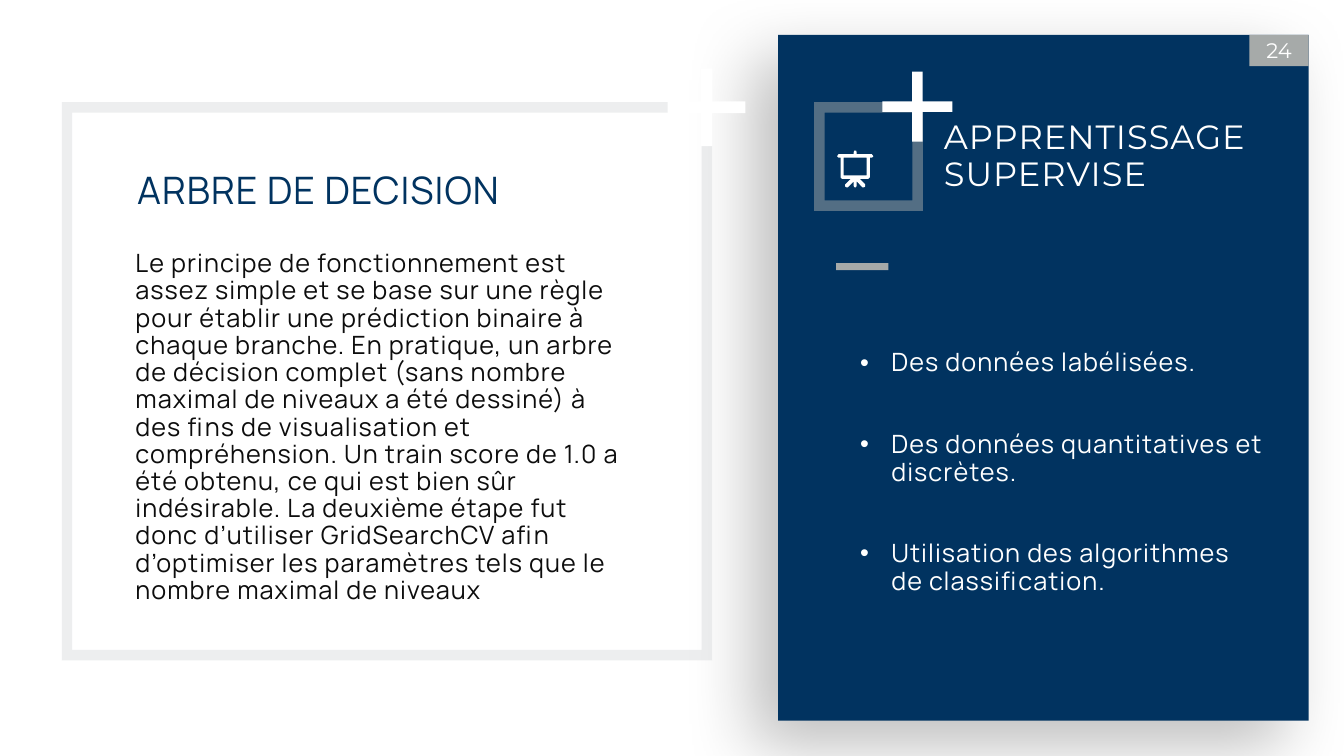
from dataclasses import dataclass

from lxml.etree import SubElement
from pptx import Presentation
from pptx.dml.color import RGBColor
from pptx.enum.shapes import MSO_SHAPE
from pptx.enum.text import MSO_ANCHOR, MSO_AUTO_SIZE, PP_ALIGN
from pptx.oxml.ns import qn
from pptx.util import Inches, Pt


@dataclass(frozen=True)
class Theme:
    navy: str = "013360"
    grey: str = "A6AAA9"
    pale: str = "DCDEE0"
    white: str = "FFFFFF"
    ink: str = "0D0D0D"
    heading_font: str = "Montserrat"
    body_font: str = "Manrope"
    number: int = 30
    body: int = 36
    heading: int = 48
    title: int = 54
    frame_width: int = 15


T = Theme()

BODY = (
    "Le principe de fonctionnement est assez simple et se base sur une règle "
    "pour établir une prédiction binaire à chaque branche. En pratique, un arbre "
    "de décision complet (sans nombre maximal de niveaux a été dessiné) à des fins "
    "de visualisation et compréhension. Un train score de 1.0 a été obtenu, ce qui "
    "est bien sûr indésirable. La deuxième étape fut donc d’utiliser GridSearchCV "
    "afin d’optimiser les paramètres tels que le nombre maximal de niveaux"
)
FEATURES = [
    "Des données labélisées.",
    "Des données quantitatives et discrètes.",
    "Utilisation des algorithmes de classification.",
]


def apply(target, values):
    for name, value in values.items():
        setattr(target, name, value)


def box(left, top, width, height):
    return [Inches(v) for v in (left, top, width, height)]


def paint(sp, color):
    sp.shadow.inherit = False
    sp.fill.solid()
    sp.fill.fore_color.rgb = RGBColor.from_string(color)
    sp.line.fill.background()
    return sp


def add_block(s, color, *at):
    return paint(s.shapes.add_shape(MSO_SHAPE.RECTANGLE, *box(*at)), color)


def add_soft_shadow(sp):
    """Cast a wide quarter-strength shadow towards the lower left."""
    effects = sp._element.spPr.find(qn("a:effectLst"))
    shadow = SubElement(effects, qn("a:outerShdw"), blurRad=str(Pt(100)),
                        dist=str(Pt(50)), dir=str(135 * 60000),
                        algn="ctr", rotWithShape="0")
    color = SubElement(shadow, qn("a:srgbClr"), val="000000")
    SubElement(color, qn("a:alpha"), val="25000")


def add_frame(s, color, *at):
    """Draw a hollow rectangle with a half-transparent, sharp-cornered border."""
    sp = s.shapes.add_shape(MSO_SHAPE.RECTANGLE, *box(*at))
    sp.shadow.inherit = False
    sp.fill.background()
    sp.line.color.rgb = RGBColor.from_string(color)
    sp.line.width = Pt(T.frame_width)
    ln = sp._element.spPr.find(qn("a:ln"))
    SubElement(ln.find(".//" + qn("a:srgbClr")), qn("a:alpha"), val="50000")
    SubElement(ln, qn("a:miter"), lim="800000")


def add_plus(s, left, top, size):
    sp = s.shapes.add_shape(MSO_SHAPE.CROSS, *box(left, top, size, size))
    sp.adjustments[0] = 0.425
    paint(sp, T.white)


def add_board_icon(s, center):
    """Draw a presentation board, mirrored about its vertical axis."""
    half = [(0.02, 2.99), (0.03, 3.03), (0.03, 3.06), (0.33, 3.06), (0.36, 3.1),
            (0.33, 3.13), (0.29, 3.13), (0.29, 3.52), (0.26, 3.55), (0.09, 3.55),
            (0.2, 3.66), (0.2, 3.7), (0.17, 3.72), (0.15, 3.72), (0.03, 3.6),
            (0.03, 3.69), (0.01, 3.72)]
    screen = [(0.23, 3.13), (0.23, 3.48)]
    builder = None
    for side in (half, screen):
        outline = side + [(-x, y) for x, y in reversed(side)]
        points = [(Inches(center + x), Inches(y)) for x, y in outline]
        if builder is None:
            builder = s.shapes.build_freeform(*points[0], scale=1.0)
        else:
            builder.move_to(*points[0])
        builder.add_line_segments(points[1:], close=True)
    paint(builder.convert_to_shape(), T.white)


def write(sp, lines, font, size, color, inset=(0.1, 0.05), anchor=MSO_ANCHOR.TOP,
          align=PP_ALIGN.LEFT, leading=0.9, tracking=1.5, bullet=None, gap=0):
    tf = sp.text_frame
    side, end = (Inches(v) for v in inset)
    apply(tf, dict(word_wrap=True, auto_size=MSO_AUTO_SIZE.NONE,
                   vertical_anchor=anchor, margin_left=side, margin_right=side,
                   margin_top=end, margin_bottom=end))
    for i, line in enumerate(lines):
        p = tf.add_paragraph() if i else tf.paragraphs[0]
        if bullet:
            pPr = p._p.get_or_add_pPr()
            pPr.set("marL", str(Inches(0.62)))
            pPr.set("indent", str(-Inches(0.62)))
            SubElement(pPr, qn("a:buFont"), typeface="Arial")
            SubElement(pPr, qn("a:buChar"), char=bullet)
        apply(p, dict(alignment=align, line_spacing=leading,
                      space_before=Pt(gap if i else 0), space_after=Pt(0)))
        r = p.add_run()
        r.text = line
        apply(r.font, dict(name=font, size=Pt(size)))
        r.font.color.rgb = RGBColor.from_string(color)
        r._r.get_or_add_rPr().set("spc", str(int(tracking * 100)))


def add_text(s, at, lines, font, size, color, **layout):
    write(s.shapes.add_textbox(*box(*at)), lines, font, size, color, **layout)


def add_side_panel(s):
    add_soft_shadow(add_block(s, T.navy, 15.44, 0.69, 10.53, 13.61))
    number = add_block(s, T.grey, 24.79, 0.69, 1.18, 0.62)
    write(number, ["24"], T.heading_font, T.number, T.white, inset=(0.06, 0.06),
          align=PP_ALIGN.CENTER, leading=1.0, tracking=0)
    add_text(s, (18.67, 2.33, 6.82, 1.57), ["APPRENTISSAGE", "SUPERVISE"],
             T.heading_font, T.heading, T.white, inset=(0.06, 0.06),
             anchor=MSO_ANCHOR.BOTTOM)
    add_block(s, T.grey, 16.59, 5.22, 1.04, 0.14)
    add_board_icon(s, 16.97)
    add_frame(s, T.grey, 16.26, 2.13, 1.95, 1.95)
    add_plus(s, 17.51, 1.42, 1.39)
    add_text(s, (16.97, 6.9, 8.2, 5.2), FEATURES, T.body_font, T.body, T.white,
             bullet="•", gap=78)


def add_main_panel(s):
    add_frame(s, T.pale, 1.33, 2.13, 12.7, 10.87)
    add_plus(s, 13.25, 1.36, 1.54)
    title = s.shapes.title
    left, top, width, height = box(2.62, 3.36, 8.17, 0.92)
    apply(title, dict(left=left, top=top, width=width, height=height))
    write(title, ["ARBRE DE DECISION"], T.body_font, T.title, T.navy)
    add_text(s, (2.59, 4.93, 10.13, 7.19), [BODY], T.body_font, T.body, T.ink)


def main():
    prs = Presentation()
    apply(prs, dict(slide_width=Inches(26.67), slide_height=Inches(15)))
    s = prs.slides.add_slide(prs.slide_layouts[5])
    add_side_panel(s)
    add_main_panel(s)
    prs.save("out.pptx")


if __name__ == "__main__":
    main()
